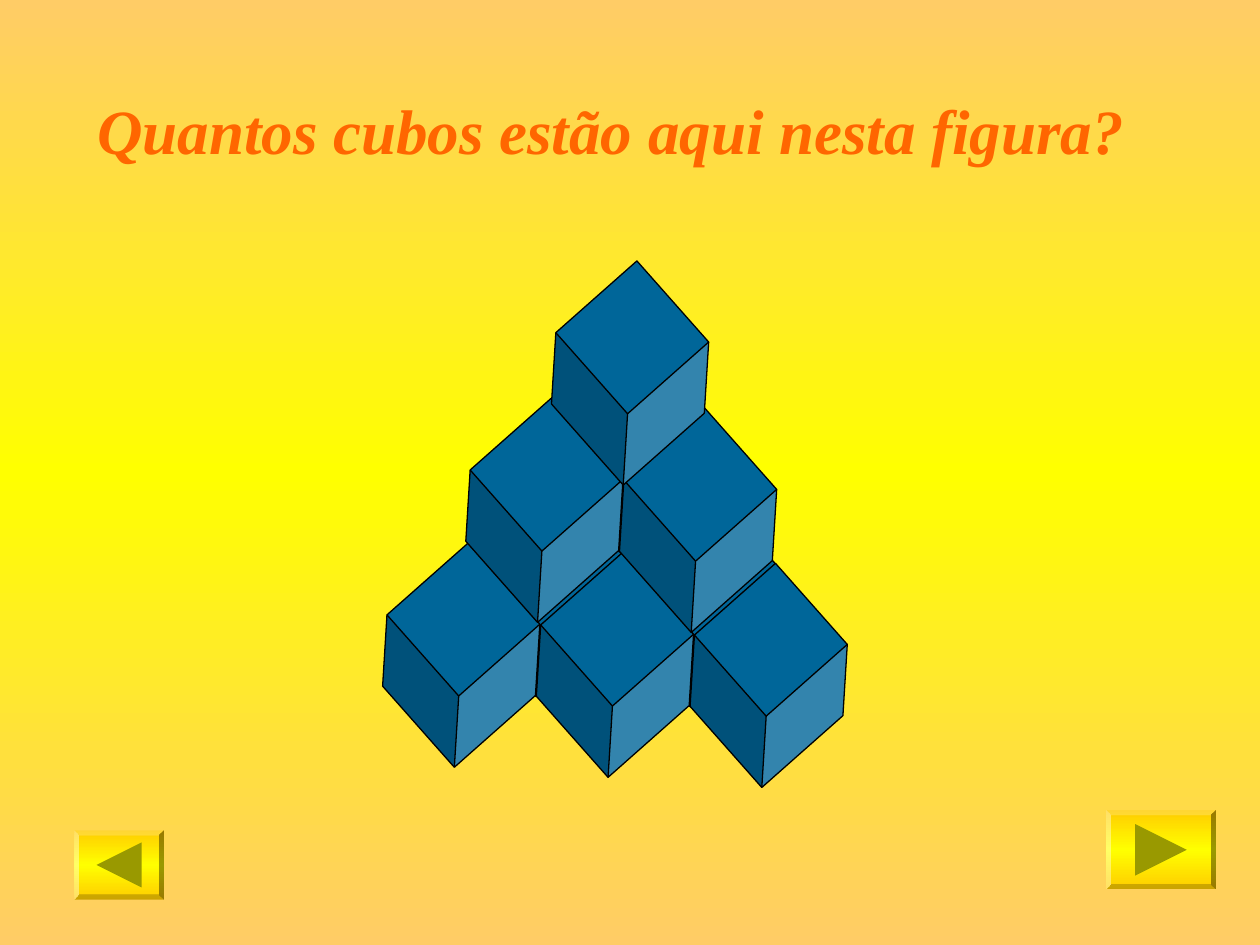
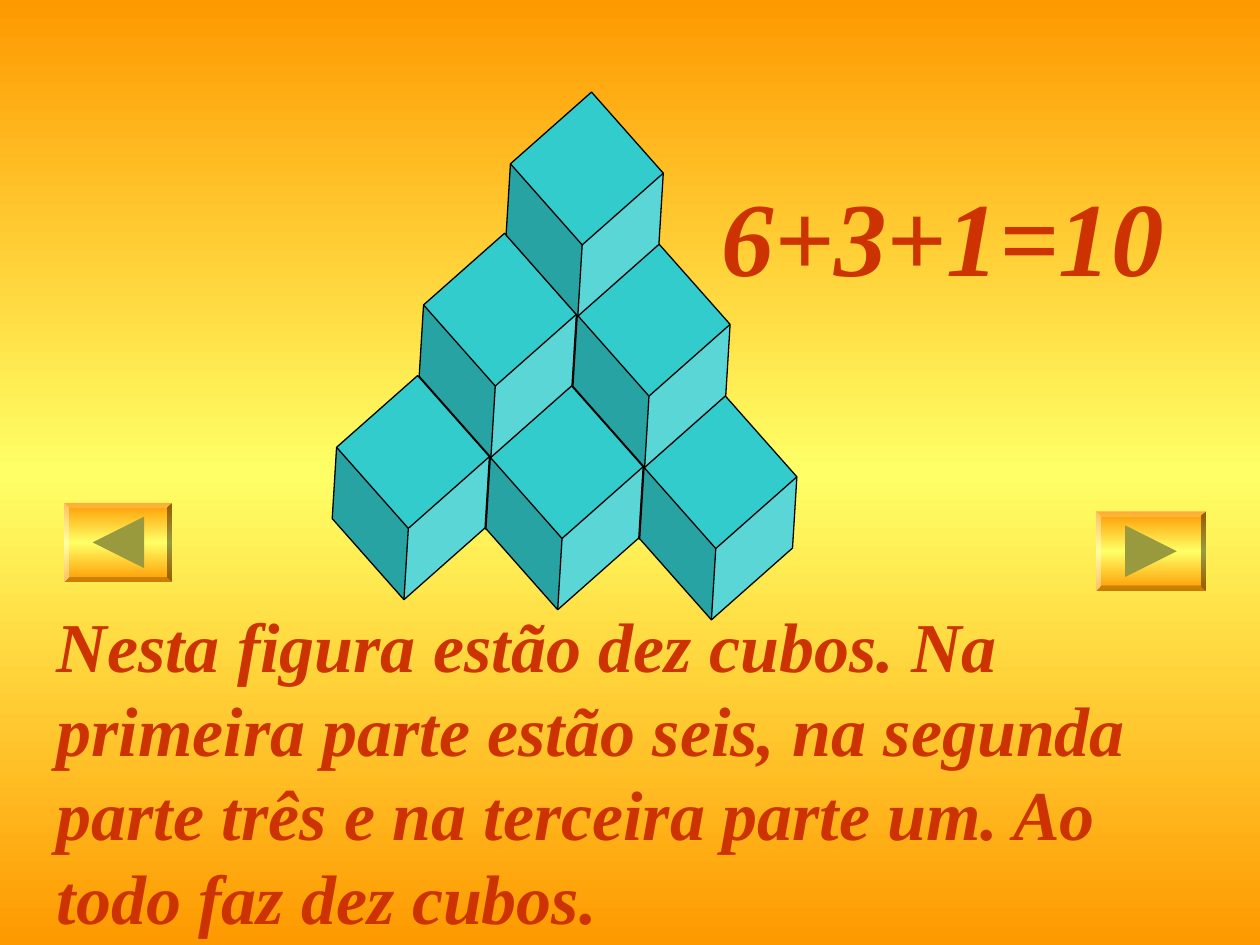
from copy import deepcopy
from dataclasses import dataclass

from pptx import Presentation
from pptx.dml.color import RGBColor as Rgb
from pptx.enum.shapes import MSO_SHAPE as Preset
from pptx.enum.text import MSO_ANCHOR as Anchor, MSO_AUTO_SIZE as AutoSize, PP_ALIGN as Align
from pptx.oxml.ns import qn
from pptx.util import Inches, Pt


@dataclass(frozen=True)
class Theme:
    font: str = "Times New Roman"
    question_size: int = 36
    answer_size: int = 40
    sum_size: int = 60
    question_text: str = "FF6600"
    answer_text: str = "CC3300"
    outline: str = "000000"
    blue_cube: str = "006699"
    teal_cube: str = "33CCCC"
    sand: tuple = ("FFCC66", "FFFF00", "FFCC66")
    gold: tuple = ("FFCC00", "FFFF00", "FFCC00")
    orange: tuple = ("FF9900", "FFFF66", "FF9900")
    gold_arrow: str = "999900"
    orange_arrow: str = "99993D"


THEME = Theme()
CUBE_SIZE = 1.26
STEP_RIGHT = (0.57, 0.64)
STEP_LEFT = (-0.65, 0.56)
BEVEL_EDGE = 0.04
ARROW_RATIO = 0.65


def fill_gradient(fill, element, colours):
    fill.gradient()
    fill.gradient_angle = 270
    stop_list = next(element.iter(qn("a:gsLst")))
    stop_list.append(deepcopy(stop_list[0]))
    for index, (stop, colour) in enumerate(zip(fill.gradient_stops, colours)):
        stop.position = index / (len(colours) - 1)
        stop.color.rgb = Rgb.from_string(colour)


def add_page(deck, layout_index, colours):
    page = deck.slides.add_slide(deck.slide_layouts[layout_index])
    fill_gradient(page.background.fill, page.element, colours)
    return page


def fill_placeholder(box, text, bounds, size, colour):
    box.left, box.top, box.width, box.height = map(Inches, bounds)
    frame = box.text_frame
    frame.text = text
    frame.word_wrap = True
    frame.auto_size = AutoSize.NONE
    frame.vertical_anchor = Anchor.TOP
    para = frame.paragraphs[0]
    para.alignment = Align.LEFT
    para.space_before = Pt(size * 0.625)
    properties = para._p.get_or_add_pPr()
    properties.set("marL", "0")
    properties.set("indent", "0")
    properties.append(properties.makeelement(qn("a:buNone"), {}))
    font = para.runs[0].font
    font.name, font.size = THEME.font, Pt(size)
    font.bold = font.italic = True
    font.color.rgb = Rgb.from_string(colour)


def add_cube(group, left, top, colour):
    cube = group.shapes.add_shape(
        Preset.CUBE, Inches(left), Inches(top), Inches(CUBE_SIZE), Inches(CUBE_SIZE))
    cube.adjustments[0] = 0.318
    cube.rotation = 138.5
    cube.shadow.inherit = False
    cube.fill.solid()
    cube.fill.fore_color.rgb = Rgb.from_string(colour)
    cube.line.color.rgb = Rgb.from_string(THEME.outline)
    cube.line.width = Pt(0.75)


def add_cube_pile(page, layer_corners, colour):
    group = page.shapes.add_group_shape()
    for size, (left, top) in zip(range(len(layer_corners), 0, -1), layer_corners):
        for row in range(size):
            for rights in range(row + 1):
                lefts = row - rights
                add_cube(group,
                         left + rights * STEP_RIGHT[0] + lefts * STEP_LEFT[0],
                         top + rights * STEP_RIGHT[1] + lefts * STEP_LEFT[1],
                         colour)


def add_arrow_button(page, bounds, direction, colours, arrow_colour):
    left, top, width, height = bounds
    button = page.shapes.add_shape(Preset.BEVEL, *map(Inches, bounds))
    button.adjustments[0] = BEVEL_EDGE / height
    button.shadow.inherit = False
    fill_gradient(button.fill, button.element, colours)
    button.line.fill.background()

    half = height * ARROW_RATIO / 2
    middle_x, middle_y = left + width / 2, top + height / 2
    base_x, tip_x = middle_x - direction * half, middle_x + direction * half
    outline = page.shapes.build_freeform(
        Inches(base_x), Inches(middle_y - half))
    outline.add_line_segments([
        (Inches(tip_x), Inches(middle_y)),
        (Inches(base_x), Inches(middle_y + half))], close=True)
    arrow = outline.convert_to_shape()
    arrow.shadow.inherit = False
    arrow.fill.solid()
    arrow.fill.fore_color.rgb = Rgb.from_string(arrow_colour)
    arrow.line.fill.background()


def add_question_page(deck):
    page = add_page(deck, 5, THEME.sand)
    fill_placeholder(page.shapes.title, "Quantos cubos estão aqui nesta figura?",
                     (0.67, 0.68, 8.43, 0.7), THEME.question_size, THEME.question_text)
    add_cube_pile(page, [(4.33, 3.45), (4.34, 2.86), (4.37, 2.33)], THEME.blue_cube)
    add_arrow_button(page, (8.78, 6.43, 0.87, 0.63), 1, THEME.gold, THEME.gold_arrow)
    add_arrow_button(page, (0.59, 6.59, 0.71, 0.55), -1, THEME.gold, THEME.gold_arrow)


def add_answer_page(deck):
    page = add_page(deck, 1, THEME.orange)
    fill_placeholder(page.shapes.title, "6+3+1=10",
                     (5.63, 1.31, 4.02, 1.1), THEME.sum_size, THEME.answer_text)
    fill_placeholder(page.placeholders[1],
                     "Nesta figura estão dez cubos. Na primeira parte estão seis, "
                     "na segunda parte três e na terceira parte um. Ao todo faz dez cubos.",
                     (0.35, 4.73, 9.14, 2.77), THEME.answer_size, THEME.answer_text)
    add_cube_pile(page, [(3.93, 2.12), (3.97, 1.55), (4.01, 0.99)], THEME.teal_cube)
    add_arrow_button(page, (8.7, 4.06, 0.87, 0.63), 1, THEME.orange, THEME.orange_arrow)
    add_arrow_button(page, (0.51, 3.99, 0.86, 0.63), -1, THEME.orange, THEME.orange_arrow)


def main():
    deck = Presentation()
    deck.slide_width, deck.slide_height = Inches(10), Inches(7.5)
    add_question_page(deck)
    add_answer_page(deck)
    deck.save("out.pptx")


if __name__ == "__main__":
    main()
